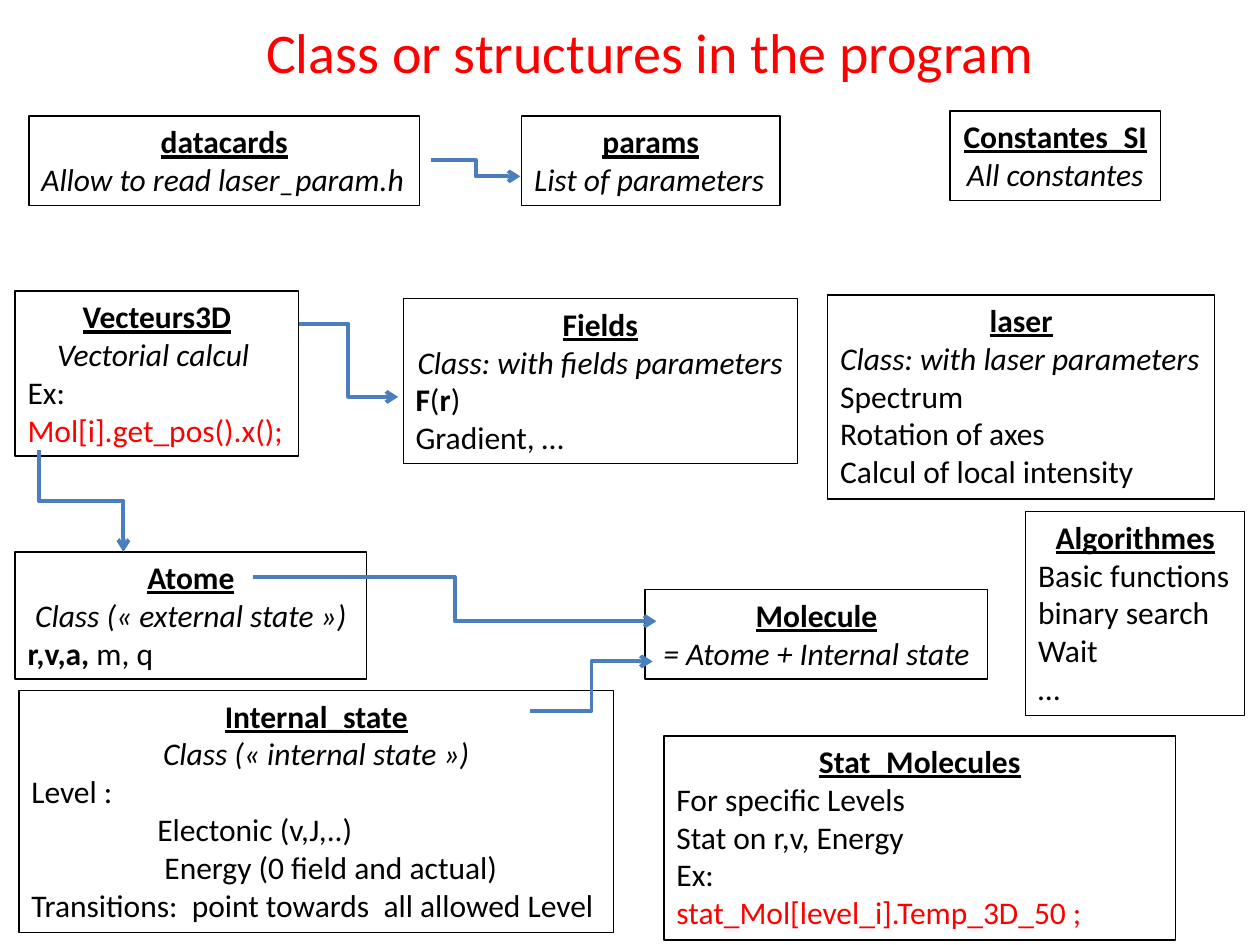
import dataclasses

import pptx
import pptx.dml.color
import pptx.enum.shapes
import pptx.enum.text
import pptx.oxml
import pptx.oxml.ns
import pptx.util

Inches = pptx.util.Inches
Pt = pptx.util.Pt
ALIGN = pptx.enum.text.PP_ALIGN


@dataclasses.dataclass(frozen=True)
class Theme:
    font: str = "Calibri"
    ink: str = "000000"
    red: str = "FF0000"
    blue: str = "4B7EBC"
    title: float = 32
    body: float = 18
    edge: float = 0.75
    arrow: float = 2.25


THEME = Theme()
HEAD = {"bold": True, "underline": True}
NOTE = {"italic": True}
BOLD = {"bold": True}
CODE = {"color": THEME.red}
PLAIN = {}


def head(text):
    return {"align": ALIGN.CENTER, "runs": [(text, HEAD)]}


def note(text, align=ALIGN.CENTER):
    return {"align": align, "runs": [(text, NOTE)]}


def line(text, style=PLAIN, indent=0):
    return {"runs": [(text, style)], "indent": indent}


def mixed(*runs):
    return {"runs": runs}


BOXES = [
    ((8.14, 4.06, 1.74, 1.62), [
        head("Algorithmes"), line("Basic functions"),
        line("binary search"), line("Wait"), line("…")]),
    ((0.23, 0.92, 3.1, 0.71), [
        head("datacards"),
        note("Allow to read laser_param.h", ALIGN.LEFT)]),
    ((3.2, 2.37, 3.13, 1.31), [
        head("Fields"), note("Class: with fields parameters"),
        mixed(("F", BOLD), ("(", PLAIN), ("r", BOLD), (")", PLAIN)),
        line("Gradient, …")]),
    ((0.15, 5.48, 4.72, 1.92), [
        head("Internal_state"), note("Class (« internal state »)"),
        line("Level :"),
        line("Electonic (v,J,..)", indent=1),
        line(" Energy (0 field and actual)", indent=1),
        line("Transitions:  point towards  all allowed Level")]),
    ((6.57, 2.34, 3.07, 1.62), [
        head("laser"),
        note("Class: with laser parameters", ALIGN.LEFT),
        line("Spectrum"), line("Rotation of axes"),
        line("Calcul of local intensity")]),
    ((5.12, 4.68, 2.72, 0.71), [
        head("Molecule"), note("= Atome + Internal state")]),
    ((4.14, 0.92, 2.05, 0.71), [
        head("params"), note("List of parameters", ALIGN.LEFT)]),
    ((0.12, 2.31, 2.25, 1.31), [
        head("Vecteurs3D"), note("Vectorial calcul "),
        line("Ex:"), line("Mol[i].get_pos().x();", CODE)]),
    ((7.54, 0.88, 1.67, 0.71), [
        head("Constantes_SI"), note("All constantes")]),
    ((0.12, 4.38, 2.79, 1.01), [
        head("Atome"), note("Class (« external state »)"),
        mixed(("r,v,a, ", BOLD), ("m, q", PLAIN))]),
]

STAT = ((5.27, 5.84, 4.06, 1.62), [
    head("Stat_Molecules"), line("For specific Levels"),
    line("Stat on r,v, Energy"), line("Ex:"),
    line("stat_Mol[level_i].Temp_3D_50 ;", CODE)])

TITLE = ((1.95, 0.09, 6.42, 0.64), [
    {"align": ALIGN.CENTER,
     "runs": [("Class or structures in the program",
               {"size": THEME.title, "color": THEME.red})]}])

ARROWS = [
    ((3.42, 1.27), (4.13, 1.4)),
    ((2.01, 4.58), (5.21, 4.93)),
    ((4.21, 5.64), (5.18, 5.25)),
    ((2.37, 2.57), (3.16, 3.15)),
]
DOWN = ((0.31, 3.57), (0.98, 4.38))


def rgb(code):
    return pptx.dml.color.RGBColor.from_string(code)


def add_run(para, text, style):
    run = para.add_run()
    run.text = text
    look = {"name": THEME.font, "size": THEME.body, "color": THEME.ink, **style}
    run.font.color.rgb = rgb(look.pop("color"))
    look["size"] = Pt(look["size"])
    for key, value in look.items():
        setattr(run.font, key, value)


def add_text(slide, place, lines, wrap=False, framed=True):
    box = slide.shapes.add_textbox(*map(Inches, place))
    if framed:
        box.line.color.rgb = rgb(THEME.ink)
        box.line.width = Pt(THEME.edge)
    frame = box.text_frame
    frame.word_wrap = wrap
    frame.auto_size = pptx.enum.text.MSO_AUTO_SIZE.SHAPE_TO_FIT_TEXT
    for i, item in enumerate(lines):
        para = frame.add_paragraph() if i else frame.paragraphs[0]
        para.alignment = item.get("align", ALIGN.LEFT)
        if item.get("indent"):
            para._p.get_or_add_pPr().set("marL", str(Inches(item["indent"])))
        for text, style in item["runs"]:
            add_run(para, text, style)


def add_arrow(slide, start, end):
    bent = pptx.enum.shapes.MSO_CONNECTOR.ELBOW
    link = slide.shapes.add_connector(bent, *map(Inches, (*start, *end)))
    link.line.color.rgb = rgb(THEME.blue)
    link.line.width = Pt(THEME.arrow)
    tip = pptx.oxml.parse_xml(
        f'<a:tailEnd {pptx.oxml.ns.nsdecls("a")} type="arrow"/>')
    link.line._get_or_add_ln().append(tip)
    none = pptx.oxml.parse_xml(f'<a:effectLst {pptx.oxml.ns.nsdecls("a")}/>')
    link._element.spPr.append(none)
    return link


def add_down(slide, start, end):
    mid_x, mid_y = ((a + b) / 2 for a, b in zip(start, end))
    half_w = (end[1] - start[1]) / 2
    half_h = (end[0] - start[0]) / 2
    link = add_arrow(slide, (mid_x + half_w, mid_y - half_h),
                     (mid_x - half_w, mid_y + half_h))
    link._element.spPr.xfrm.set("rot", str(270 * 60000))


def main():
    deck = pptx.Presentation()
    deck.slide_width, deck.slide_height = Inches(10), Inches(7.5)
    slide = deck.slides.add_slide(deck.slide_layouts[6])
    for place, lines in BOXES:
        add_text(slide, place, lines)
    add_text(slide, *TITLE, wrap=True, framed=False)
    for start, end in ARROWS:
        add_arrow(slide, start, end)
    add_down(slide, *DOWN)
    add_text(slide, *STAT, wrap=True)
    deck.save("out.pptx")


if __name__ == "__main__":
    main()
